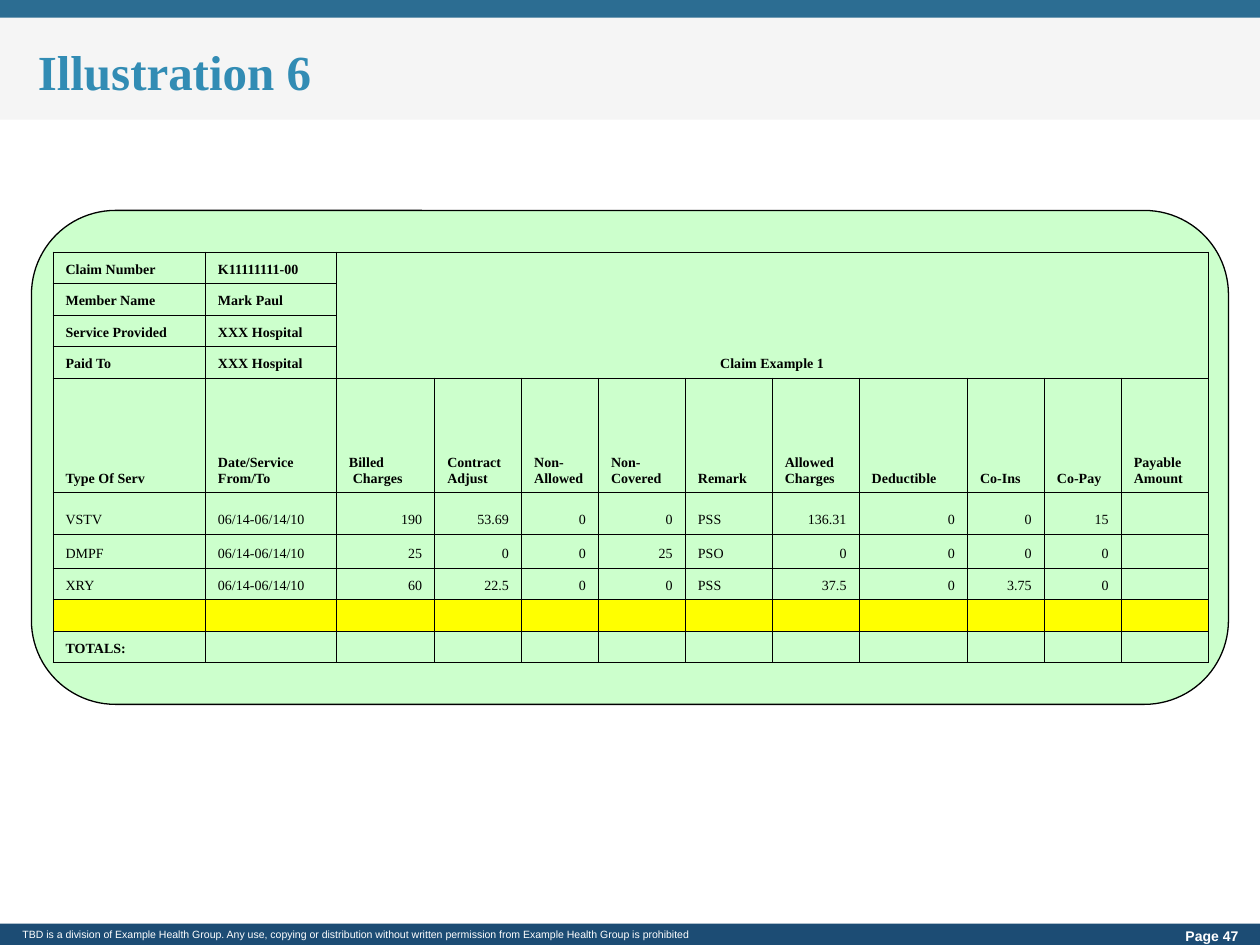
from dataclasses import dataclass

from lxml import etree
from pptx import Presentation
from pptx.dml.color import RGBColor
from pptx.enum.shapes import MSO_SHAPE
from pptx.enum.text import MSO_ANCHOR, PP_ALIGN
from pptx.oxml.ns import qn
from pptx.util import Inches, Pt

RECT, ROUND = MSO_SHAPE.RECTANGLE, MSO_SHAPE.ROUNDED_RECTANGLE
LEFT, CENTER, RIGHT = PP_ALIGN.LEFT, PP_ALIGN.CENTER, PP_ALIGN.RIGHT
MIDDLE, BOTTOM = MSO_ANCHOR.MIDDLE, MSO_ANCHOR.BOTTOM

BLACK = RGBColor(0x00, 0x00, 0x00)
WHITE = RGBColor(0xFF, 0xFF, 0xFF)
GREY = RGBColor(0xF5, 0xF5, 0xF5)
TEAL = RGBColor(0x2C, 0x6D, 0x92)
NAVY = RGBColor(0x1C, 0x4C, 0x74)
BLUE = RGBColor(0x32, 0x8C, 0xB4)
GREEN = RGBColor(0xCC, 0xFF, 0xCC)
YELLOW = RGBColor(0xFF, 0xFF, 0x00)
SERIF, SANS = "Times New Roman", "Arial"
WIDE, HIGH = 10, 7.5

# Table grid in inches, and its content
COLS = [1.21, 1.04, 0.78, 0.69, 0.61, 0.69, 0.69, 0.69, 0.86, 0.61, 0.61, 0.69]
ROWS = [0.25] * 4 + [0.91, 0.33, 0.27] + [0.25] * 3
HEAD_ROW, GAP_ROW, SUM_ROW = 4, 8, 9
TEXT_COLS = (0, 1, 6)
DATES = "06/14-06/14/10"
DATA = [
    ["Claim Number", "K11111111-00", "Claim Example 1"],
    ["Member Name", "Mark Paul"],
    ["Service Provided", "XXX Hospital"],
    ["Paid To", "XXX Hospital"],
    ["Type Of Serv", "Date/Service\nFrom/To", "Billed\nCharges", "Contract\nAdjust",
     "Non-\nAllowed", "Non-\nCovered", "Remark", "Allowed\nCharges", "Deductible",
     "Co-Ins", "Co-Pay", "Payable\nAmount"],
    ["VSTV", DATES, "190", "53.69", "0", "0", "PSS", "136.31", "0", "0", "15"],
    ["DMPF", DATES, "25", "0", "0", "25", "PSO", "0", "0", "0", "0"],
    ["XRY", DATES, "60", "22.5", "0", "0", "PSS", "37.5", "0", "3.75", "0"],
    [],
    ["TOTALS:"],
]


@dataclass
class Box:
    x: float
    y: float
    w: float
    h: float

    def spots(self) -> list:
        return [Inches(n) for n in (self.x, self.y, self.w, self.h)]


@dataclass
class Style:
    face: str
    size: float
    color: RGBColor
    bold: bool = False


@dataclass
class Band:
    box: Box
    fill: RGBColor


@dataclass
class Note:
    box: Box
    text: str
    style: Style


BANDS = [
    Band(Box(0, 0, WIDE, 0.95), GREY),
    Band(Box(0, 0, WIDE, 0.14), TEAL),
    Band(Box(0, HIGH - 0.17, WIDE, 0.17), NAVY),
]
NOTES = [
    Note(Box(0.08, 7.32, 8.03, 0.2),
         "TBD is a division of Example Health Group. Any use, copying or distribution "
         "without written permission from Example Health Group is prohibited",
         Style(SANS, 6, WHITE)),
    Note(Box(9.31, 7.31, 0.85, 0.27), "Page 47", Style(SANS, 8, WHITE, True)),
]


def write(frame, text: str, style: Style, align=LEFT) -> None:
    frame.text = text
    for para in frame.paragraphs:
        para.alignment = align
        font = para.font
        font.name, font.size, font.bold = style.face, Pt(style.size), style.bold
        font.color.rgb = style.color


def draw_shape(slide, kind, box: Box, fill: RGBColor):
    shape = slide.shapes.add_shape(kind, *box.spots())
    shape.shadow.inherit = False
    shape.fill.solid()
    shape.fill.fore_color.rgb = fill
    shape.line.fill.background()
    return shape


def draw_note(slide, note: Note) -> None:
    frame = slide.shapes.add_textbox(*note.box.spots()).text_frame
    frame.word_wrap = True
    write(frame, note.text, note.style)


def draw_edges(cell) -> None:
    props = cell._tc.get_or_add_tcPr()
    for side in ("a:lnL", "a:lnR", "a:lnT", "a:lnB"):
        edge = etree.SubElement(props, qn(side), w=str(Pt(0.45)))
        paint = etree.SubElement(edge, qn("a:solidFill"))
        etree.SubElement(paint, qn("a:srgbClr"), val=str(BLACK))


def fill_cell(cell, row: int, col: int) -> None:
    text = DATA[row][col] if col < len(DATA[row]) else ""
    plain = HEAD_ROW < row < GAP_ROW
    align = RIGHT if plain and col not in TEXT_COLS else LEFT
    if row < HEAD_ROW and col == 2:
        align = CENTER
    write(cell.text_frame, text, Style(SERIF, 8, BLACK, not plain), align)
    if not text:  # keeps empty rows low
        para = cell.text_frame.paragraphs[0]._p
        etree.SubElement(para, qn("a:endParaRPr"), sz="800")
    cell.vertical_anchor = BOTTOM
    draw_edges(cell)
    if row == GAP_ROW:
        cell.fill.solid()
        cell.fill.fore_color.rgb = YELLOW
    else:
        cell.fill.background()


def draw_table(slide, x: float, y: float) -> None:
    box = Box(x, y, sum(COLS), sum(ROWS))
    table = slide.shapes.add_table(len(ROWS), len(COLS), *box.spots()).table
    table.first_row = table.horz_banding = False
    for col, width in zip(table.columns, COLS):
        col.width = Inches(width)
    for row, height in zip(table.rows, ROWS):
        row.height = Inches(height)
    for row in range(len(ROWS)):
        for col in range(len(COLS)):
            fill_cell(table.cell(row, col), row, col)
    table.cell(0, 2).merge(table.cell(HEAD_ROW - 1, len(COLS) - 1))
    # "Charges" sits slightly in from "Billed"
    line = table.cell(HEAD_ROW, 2).text_frame.paragraphs[1]
    line._p.get_or_add_pPr().set("marL", str(Inches(0.03)))


def draw_title(slide, box: Box, text: str) -> None:
    title = slide.shapes.title
    title.left, title.top, title.width, title.height = box.spots()
    title.text_frame.vertical_anchor = MIDDLE
    write(title.text_frame, text, Style(SERIF, 28, BLUE, True))
    title.element.getparent().append(title.element)  # in front of the bands


def main() -> None:
    deck = Presentation()
    deck.slide_width, deck.slide_height = Inches(WIDE), Inches(HIGH)
    slide = deck.slides.add_slide(deck.slide_layouts[5])

    # Header, footer and title
    for band in BANDS:
        draw_shape(slide, RECT, band.box, band.fill)
    for note in NOTES:
        draw_note(slide, note)
    draw_title(slide, Box(0.2, 0.23, 7.88, 0.66), "Illustration 6")

    # Claim panel with its table
    panel = draw_shape(slide, ROUND, Box(0.25, 1.67, WIDE - 0.5, 3.92), GREEN)
    panel.adjustments[0] = 0.17
    panel.line.color.rgb = BLACK
    panel.line.width = Pt(0.75)
    draw_table(slide, 0.42, 2)

    deck.save("out.pptx")


if __name__ == "__main__":
    main()
